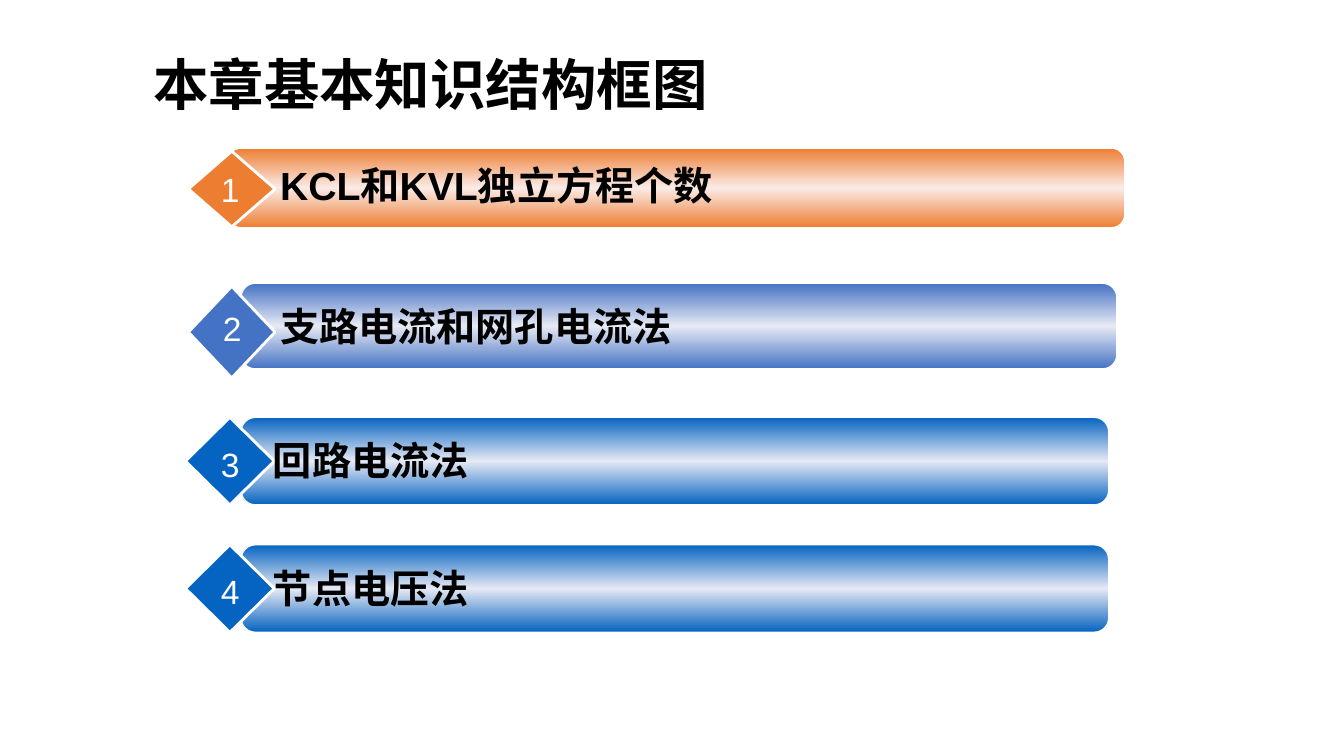
from copy import deepcopy

from lxml.etree import SubElement
from pptx import Presentation
from pptx.dml.color import RGBColor
from pptx.enum.shapes import MSO_SHAPE
from pptx.enum.text import MSO_ANCHOR, PP_ALIGN
from pptx.oxml.ns import qn
from pptx.util import Pt

ORANGE = RGBColor(0xED, 0x7D, 0x31)
PALE_ORANGE = RGBColor(0xFB, 0xEB, 0xE7)
INDIGO = RGBColor(0x44, 0x72, 0xC4)
PALE_INDIGO = RGBColor(0xE7, 0xEA, 0xF4)
BLUE = RGBColor(0x05, 0x63, 0xC1)
PALE_BLUE = RGBColor(0xE6, 0xE9, 0xF4)
BLACK = RGBColor(0, 0, 0)
WHITE = RGBColor(0xFF, 0xFF, 0xFF)


class Deck:
    """Style and current slide; all lengths are in points."""

    latin = "Arial"
    cjk = "Noto Sans CJK SC"

    def __init__(self, width, height):
        self.prs = Presentation()
        self.prs.slide_width, self.prs.slide_height = Pt(width), Pt(height)
        self.slide = self.prs.slides.add_slide(self.prs.slide_layouts[5])

    def style(self, p, size, color, bold, latin):
        f = p.font
        f.size, f.bold, f.name = Pt(size), bold, latin
        f.color.rgb = color
        ea = SubElement(p._p.pPr.find(qn("a:defRPr")), qn("a:ea"))
        ea.set("typeface", self.cjk)

    def title(self, text, x, y, w, h):
        sp = self.slide.shapes.title
        sp.left, sp.top, sp.width, sp.height = Pt(x), Pt(y), Pt(w), Pt(h)
        tf = sp.text_frame
        tf.text = text
        tf.vertical_anchor = MSO_ANCHOR.MIDDLE
        p = tf.paragraphs[0]
        p.alignment, p.line_spacing = PP_ALIGN.LEFT, 0.9
        self.style(p, 39.6, BLACK, True, self.cjk)

    def shape(self, kind, x, y, w, h, line_width):
        sp = self.slide.shapes.add_shape(kind, Pt(x), Pt(y), Pt(w), Pt(h))
        sp.shadow.inherit = False
        sp.line.color.rgb = WHITE
        sp.line.width = Pt(line_width)
        return sp

    def bar(self, x, y, w, h, color, pale):
        sp = self.shape(MSO_SHAPE.ROUNDED_RECTANGLE, x, y, w, h, 1)
        sp.fill.gradient()
        sp.fill.gradient_angle = 270
        edge, middle = sp.fill.gradient_stops
        edge.color.rgb, edge.position = color, 0
        middle.color.rgb, middle.position = pale, 0.5
        # Third stop mirrors the first
        stops = sp._element.spPr.find(".//" + qn("a:gsLst"))
        last = deepcopy(stops[0])
        last.set("pos", "100000")
        stops.append(last)

    def diamond(self, x, y, w, h, color):
        sp = self.shape(MSO_SHAPE.DIAMOND, x, y, w, h, 2)
        sp.fill.solid()
        sp.fill.fore_color.rgb = color

    def text(self, text, x, y, w, h, size, color, bold=False,
             align=PP_ALIGN.LEFT, wrap=True):
        sp = self.slide.shapes.add_textbox(Pt(x), Pt(y), Pt(w), Pt(h))
        tf = sp.text_frame
        tf.word_wrap = wrap
        tf.margin_left = tf.margin_right = 0
        p = tf.paragraphs[0]
        p.text, p.alignment = text, align
        self.style(p, size, color, bold, self.latin)


def main():
    deck = Deck(960, 540)
    deck.title("本章基本知识结构框图", 102.2, 40.3, 606.2, 44.6)

    # Topic, colours, bar box, diamond box, topic (x, y), number (x, y)
    topics = [
        ("KCL和KVL独立方程个数", ORANGE, PALE_ORANGE, (162.7, 105.8, 640.8, 56.9),
         (134.6, 108, 61.9, 54), (200, 111.6), (150.5, 117.4)),
        ("支路电流和网孔电流法", INDIGO, PALE_INDIGO, (172.1, 202.3, 625.7, 61.2),
         (134.6, 204.5, 61.9, 65.5), (200, 212.4), (151.9, 216.7)),
    ]
    # The last two rows share one layout, a fixed step apart
    for i, topic in enumerate(["回路电流法", "节点电压法"]):
        y = 298.1 + 91 * i
        topics.append((topic, BLUE, PALE_BLUE, (172.1, y, 619.9, 62.6),
                       (132.5, y, 63.4, 62.6), (195, y + 10.3), (150.5, y + 15.1)))

    # Rows, back to front
    for number, row in enumerate(topics, 1):
        topic, color, pale, bar, diamond, topic_at, number_at = row
        deck.bar(*bar, color, pale)
        deck.diamond(*diamond, color)
        deck.text(topic, *topic_at, 580, 41, 28, BLACK, bold=True)
        deck.text(str(number), *number_at, 28, 36, 24, WHITE,
                  align=PP_ALIGN.CENTER, wrap=False)

    deck.prs.save("out.pptx")


if __name__ == "__main__":
    main()
